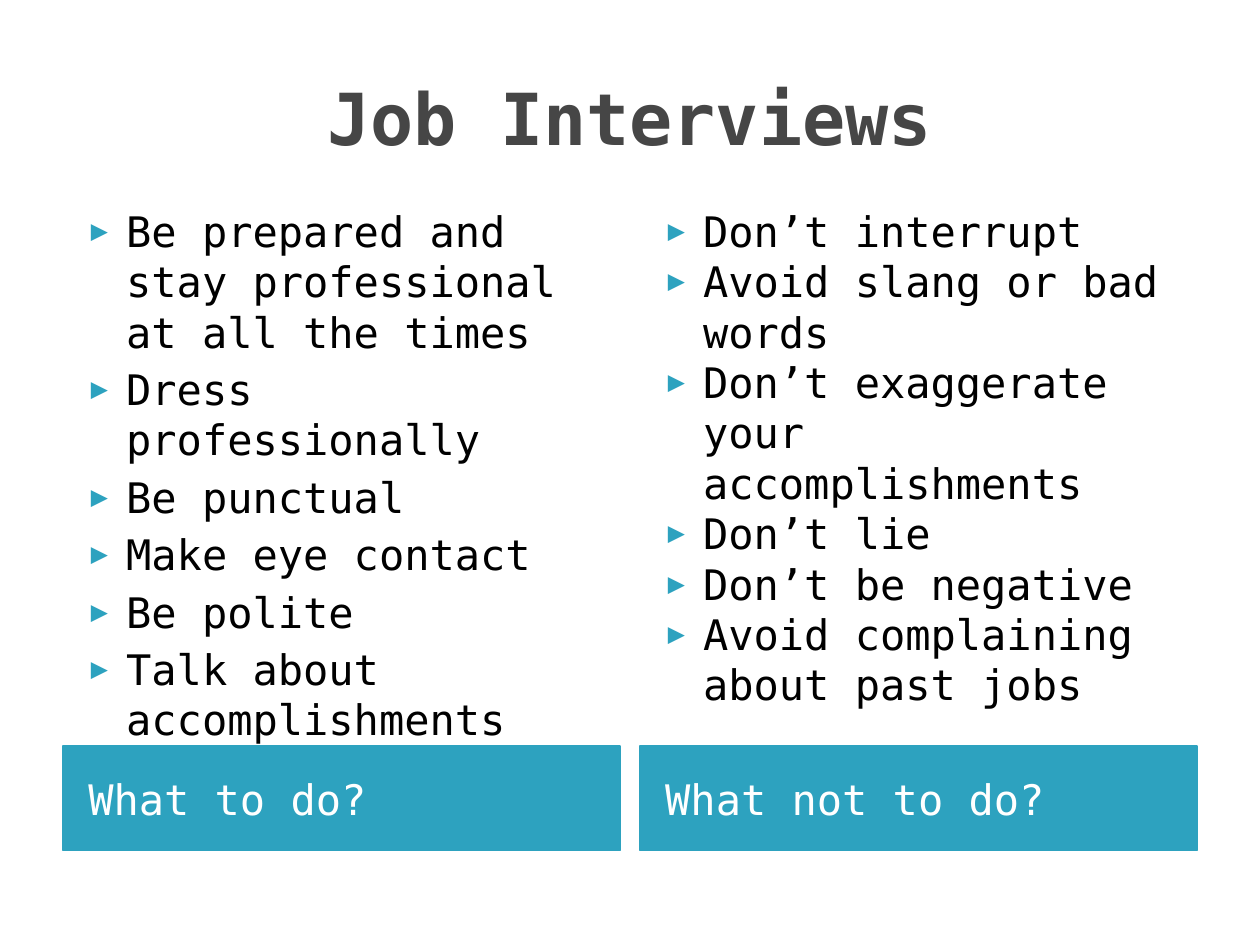
from lxml import etree
from pptx import Presentation
from pptx.dml.color import RGBColor
from pptx.enum.text import MSO_ANCHOR, MSO_AUTO_SIZE, PP_ALIGN
from pptx.oxml.ns import qn
from pptx.util import Cm, Pt

MIDDLE, TOP = MSO_ANCHOR.MIDDLE, MSO_ANCHOR.TOP
NO_FIT = MSO_AUTO_SIZE.NONE
CENTER, LEFT = PP_ALIGN.CENTER, PP_ALIGN.LEFT

TEAL = RGBColor(0x2D, 0xA2, 0xBF)
GRAY = RGBColor(0x46, 0x46, 0x46)
BLACK = RGBColor(0, 0, 0)
WHITE = RGBColor(0xFF, 0xFF, 0xFF)
FONT = "DejaVu Sans Mono"
COMPARISON_LAYOUT = 4

MARGIN, GAP = 1.27, 0.4
SLIDE_WIDTH, SLIDE_HEIGHT = 25.4, 19.05
CONTENT_WIDTH = SLIDE_WIDTH - 2 * MARGIN
COLUMN_WIDTH = (CONTENT_WIDTH - GAP) / 2
COLUMN_TOP, COLUMN_HEIGHT = 4.01, 13.14
LIST_HEIGHT, BAND_HEIGHT = 10.95, 2.11

# Heading placeholder, list placeholder, heading, space before items, items
COLUMNS = [
    (1, 2, "What to do?", 4, [
        "Be prepared and stay professional at all the times",
        "Dress professionally",
        "Be punctual",
        "Make eye contact",
        "Be polite",
        "Talk about accomplishments",
    ]),
    (3, 4, "What not to do?", 0, [
        "Don’t interrupt",
        "Avoid slang or bad words",
        "Don’t exaggerate your accomplishments",
        "Don’t lie",
        "Don’t be negative",
        "Avoid complaining about past jobs",
    ]),
]


def set_attributes(target, values):
    for name, value in values.items():
        setattr(target, name, value)


def fill_placeholder(shape, box, lines, size, color, bold=False,
                     frame_format=None, paragraph_format=None):
    """Place a placeholder in a box and write its formatted lines."""
    left, top, width, height = (Cm(length) for length in box)
    set_attributes(shape, {"left": left, "top": top,
                           "width": width, "height": height})
    frame = shape.text_frame
    frame.text = "\n".join(lines)
    set_attributes(frame, {"word_wrap": True, "auto_size": NO_FIT,
                           **(frame_format or {})})
    for paragraph in frame.paragraphs:
        set_attributes(paragraph, paragraph_format or {})
        font = paragraph.runs[0].font
        set_attributes(font, {"name": FONT, "size": Pt(size), "bold": bold})
        font.color.rgb = color


def add_bullet(paragraph):
    """Give a paragraph a hanging teal triangle."""
    properties = paragraph._p.get_or_add_pPr()
    properties.set("marL", str(Cm(1.02)))
    properties.set("indent", str(Cm(-0.71)))
    bullet_color = etree.SubElement(properties, qn("a:buClr"))
    etree.SubElement(bullet_color, qn("a:srgbClr"), val=str(TEAL))
    etree.SubElement(properties, qn("a:buSzPct"), val="68000")
    etree.SubElement(properties, qn("a:buFont"), typeface=FONT)
    etree.SubElement(properties, qn("a:buChar"), char="▶")


def place_title(shape, box):
    fill_placeholder(shape, box, ["Job Interviews"], 41, GRAY, True,
                     {"vertical_anchor": MIDDLE}, {"alignment": CENTER})


def place_column(band, item_list, box, heading, space_before, items):
    left, top, width, height = box

    # Bulleted list
    fill_placeholder(item_list, (left, top, width, LIST_HEIGHT), items, 24, BLACK,
                     frame_format={"vertical_anchor": TOP},
                     paragraph_format={"alignment": LEFT,
                                       "space_before": Pt(space_before)})
    for paragraph in item_list.text_frame.paragraphs:
        add_bullet(paragraph)

    # Heading band along the bottom of the column
    band_top = top + height - BAND_HEIGHT
    fill_placeholder(band, (left, band_top, width, BAND_HEIGHT), [heading], 24, WHITE,
                     frame_format={"vertical_anchor": MIDDLE,
                                   "margin_left": Cm(0.51)},
                     paragraph_format={"alignment": LEFT, "space_before": Pt(4)})
    band.fill.solid()
    band.fill.fore_color.rgb = TEAL
    band.line.color.rgb = TEAL
    band.line.width = Pt(0.75)


def main():
    presentation = Presentation()
    presentation.slide_width = Cm(SLIDE_WIDTH)
    presentation.slide_height = Cm(SLIDE_HEIGHT)
    layout = presentation.slide_layouts[COMPARISON_LAYOUT]
    slide = presentation.slides.add_slide(layout)
    placeholders = {shape.placeholder_format.idx: shape
                    for shape in slide.placeholders}

    place_title(slide.shapes.title, (MARGIN, 0.76, CONTENT_WIDTH, 3.18))
    for number, (band, item_list, *content) in enumerate(COLUMNS):
        left = MARGIN + number * (COLUMN_WIDTH + GAP)
        place_column(placeholders[band], placeholders[item_list],
                     (left, COLUMN_TOP, COLUMN_WIDTH, COLUMN_HEIGHT), *content)

    presentation.save("out.pptx")


if __name__ == "__main__":
    main()
